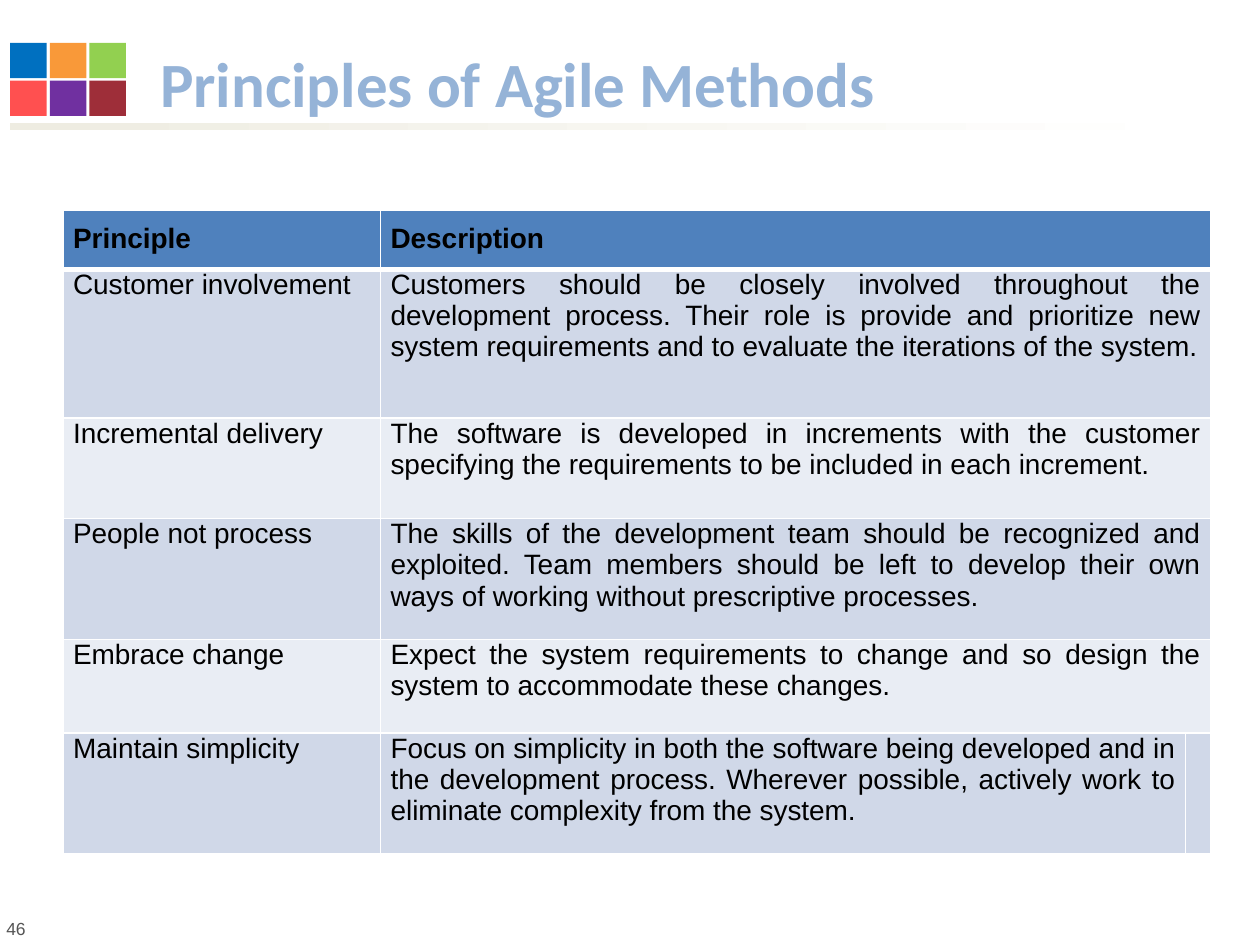
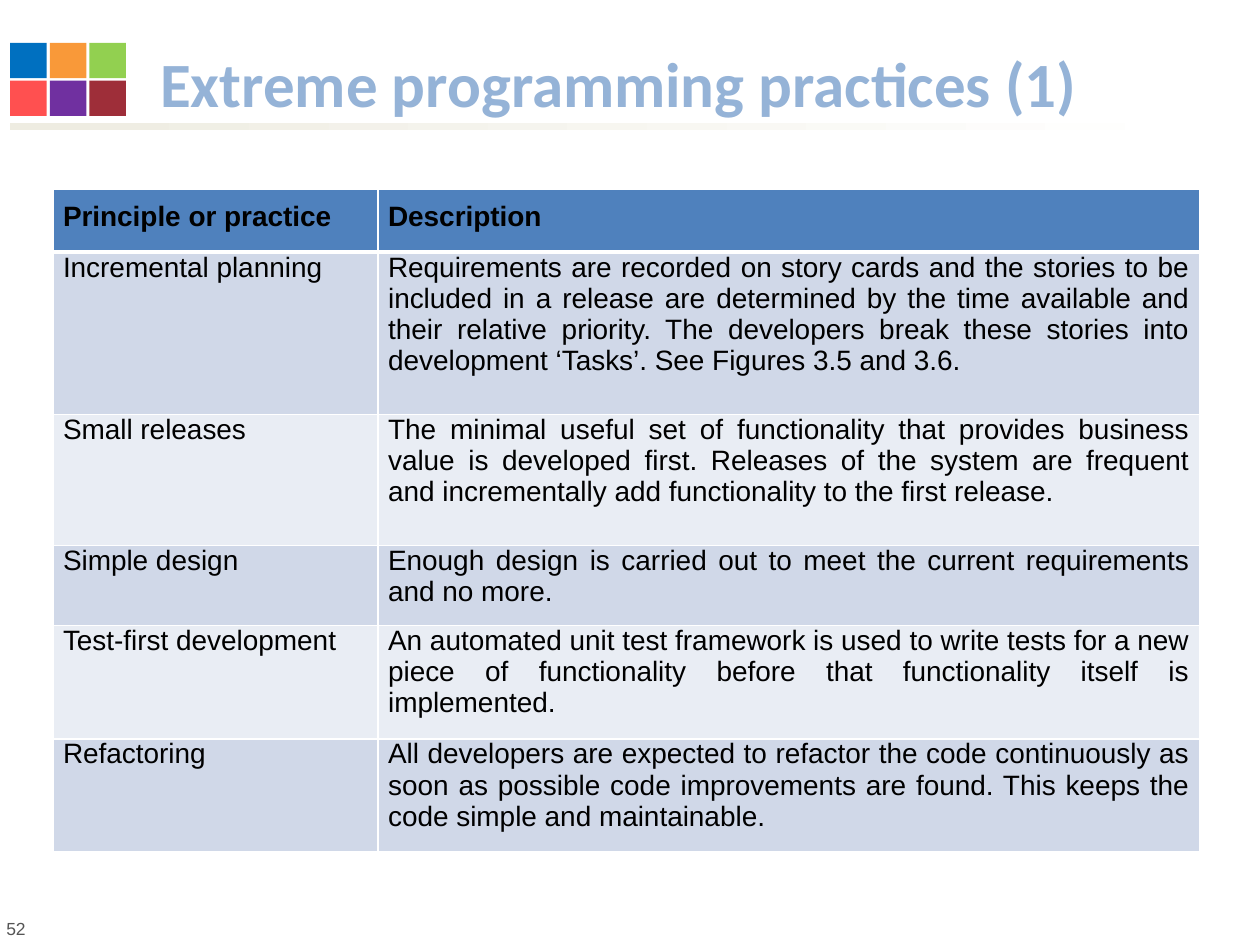
from pptx import Presentation, util as u
from pptx.dml.color import RGBColor
from pptx.enum import shapes, text
from pptx.oxml import parse_xml
from pptx.oxml.ns import nsdecls

WIDTH, HEIGHT = u.Inches(10), u.Inches(7.5)
TITLE_ONLY = 5
WHITE = RGBColor(0xFF, 0xFF, 0xFF)
BLACK = RGBColor(0x00, 0x00, 0x00)
GREY = RGBColor(0x55, 0x55, 0x55)
CREAM = RGBColor(0xEE, 0xEC, 0xE1)
TITLE_BLUE = RGBColor(0x95, 0xB3, 0xD7)
HEADER_BLUE = RGBColor(0x4F, 0x81, 0xBD)
BANDS = (RGBColor(0xD0, 0xD8, 0xE8), RGBColor(0xE9, 0xED, 0xF4))
TILES = (
    (RGBColor(0x00, 0x70, 0xC0), RGBColor(0xF9, 0x99, 0x39), RGBColor(0x92, 0xD0, 0x50)),
    (RGBColor(0xFF, 0x50, 0x50), RGBColor(0x70, 0x30, 0xA0), RGBColor(0x9E, 0x2E, 0x39)),
)

PRINCIPLES = (
    ("Principle", "Description"),
    ("Customer involvement",
     "Customers should be closely involved throughout the development process. "
     "Their role is provide and prioritize new system requirements and to evaluate "
     "the iterations of the system."),
    ("Incremental delivery",
     "The software is developed in increments with the customer specifying the "
     "requirements to be included in each increment."),
    ("People not process",
     "The skills of the development team should be recognized and exploited. Team "
     "members should be left to develop their own ways of working without "
     "prescriptive processes."),
    ("Embrace change",
     "Expect the system requirements to change and so design the system to "
     "accommodate these changes."),
    ("Maintain simplicity",
     "Focus on simplicity in both the software being developed and in the "
     "development process. Wherever possible, actively work to eliminate "
     "complexity from the system."),
)
PRACTICES = (
    ("Principle or practice", "Description"),
    ("Incremental planning",
     "Requirements are recorded on story cards and the stories to be included in a "
     "release are determined by the time available and their relative priority. The "
     "developers break these stories into development ‘Tasks’. See Figures 3.5 and 3.6."),
    ("Small releases",
     "The minimal useful set of functionality that provides business value is "
     "developed first. Releases of the system are frequent and incrementally add "
     "functionality to the first release."),
    ("Simple design",
     "Enough design is carried out to meet the current requirements and no more."),
    ("Test-first development",
     "An automated unit test framework is used to write tests for a new piece of "
     "functionality before that functionality itself is implemented."),
    ("Refactoring",
     "All developers are expected to refactor the code continuously as soon as "
     "possible code improvements are found. This keeps the code simple and "
     "maintainable."),
)


def across(percent):
    return round(WIDTH * percent / 100)


def down(percent):
    return round(HEIGHT * percent / 100)


def area(left, top, width, height):
    return across(left), down(top), across(width), down(height)


def style_text(para, size, color, font, bold=False):
    for span in para.runs:
        span.font.name = font
        span.font.size = u.Pt(size)
        span.font.bold = bold
        span.font.color.rgb = color


def add_rectangle(holder, place):
    box = holder.shapes.add_shape(shapes.MSO_SHAPE.RECTANGLE, *place)
    box.shadow.inherit = False
    box.line.fill.background()
    return box


def add_rule(page):
    rule = add_rectangle(page, area(0.8, 13.07, 94.8, 0.67))
    rule.fill.gradient()
    rule.fill.gradient_angle = 0
    for stop, color in zip(rule.fill.gradient_stops, (CREAM, WHITE)):
        stop.color.rgb = color


def add_tiles(page):
    group = page.shapes.add_group_shape()
    for row, colors in enumerate(TILES):
        for column, color in enumerate(colors):
            tile = add_rectangle(
                group, area(0.8 + 3.15 * column, 4.53 + 4 * row, 2.9, 3.73))
            tile.fill.solid()
            tile.fill.fore_color.rgb = color


def add_number(page, number):
    box = page.shapes.add_textbox(*area(0, 96.53, 57.5, 3.47))
    frame = box.text_frame
    frame.word_wrap = True
    frame.margin_left = u.Inches(0.05)
    frame.text = str(number)
    style_text(frame.paragraphs[0], 10, GREY, "Arial")


def set_title(page, words):
    title = page.shapes.title
    title.left, title.top, title.width, title.height = area(11.7, 4.27, 86.7, 9.07)
    frame = title.text_frame
    frame.text = words
    frame.auto_size = text.MSO_AUTO_SIZE.NONE
    frame.vertical_anchor = text.MSO_ANCHOR.BOTTOM
    para = frame.paragraphs[0]
    para.alignment = text.PP_ALIGN.LEFT
    style_text(para, 36, TITLE_BLUE, "Calibri", bold=True)


def add_page(deck, words, number):
    page = deck.slides.add_slide(deck.slide_layouts[TITLE_ONLY])
    add_rule(page)
    add_number(page, number)
    add_tiles(page)
    set_title(page, words)
    return page


def set_borders(cell, top, bottom):
    edges = (("L", 1), ("R", 1), ("T", top), ("B", bottom))
    properties = cell._tc.get_or_add_tcPr()
    for position, (side, points) in enumerate(edges):
        properties.insert(position, parse_xml(
            f'<a:ln{side} {nsdecls("a")} w="{u.Pt(points)}"><a:solidFill>'
            f'<a:srgbClr val="{WHITE}"/></a:solidFill></a:ln{side}>'))


def format_cell(cell, row):
    header = row == 0
    cell.fill.solid()
    cell.fill.fore_color.rgb = HEADER_BLUE if header else BANDS[(row - 1) % 2]
    set_borders(cell, top=3 if row == 1 else 1, bottom=3 if header else 1)
    cell.margin_left = cell.margin_right = u.Inches(0.08)
    cell.margin_top = u.Inches(0.1 if header else 0)
    cell.margin_bottom = u.Inches(0.1)
    para = cell.text_frame.paragraphs[0]
    para.alignment = text.PP_ALIGN.JUSTIFY
    style_text(para, 16, BLACK, "Arial", bold=header)


def add_grid(page, entries, left, top, columns, rows):
    place = area(left, top, sum(columns), sum(rows))
    table = page.shapes.add_table(len(rows), len(columns), *place).table
    for column, share in zip(table.columns, columns):
        column.width = across(share)
    for row, share in zip(table.rows, rows):
        row.height = down(share)
    for row, entry in enumerate(entries):
        for column, words in enumerate(entry):
            table.cell(row, column).text = words
        for column in range(len(columns)):
            format_cell(table.cell(row, column), row)
    return table


def main():
    deck = Presentation()
    deck.slide_width, deck.slide_height = WIDTH, HEIGHT

    page = add_page(deck, "Principles of Agile Methods", 46)
    table = add_grid(page, PRINCIPLES, 5, 22.27, (25.2, 63.9, 1.4),
                     (5.87, 15.73, 10.67, 12.8, 9.87, 12.8))
    for row in range(len(PRINCIPLES) - 1):
        table.cell(row, 1).merge(table.cell(row, 2))

    page = add_page(deck, "Extreme programming practices (1)", 52)
    add_grid(page, PRACTICES, 4.2, 20, (25.8, 65.2),
             (6.67, 17.2, 13.87, 7.87, 11.2, 11.2))

    deck.save("out.pptx")


if __name__ == "__main__":
    main()
